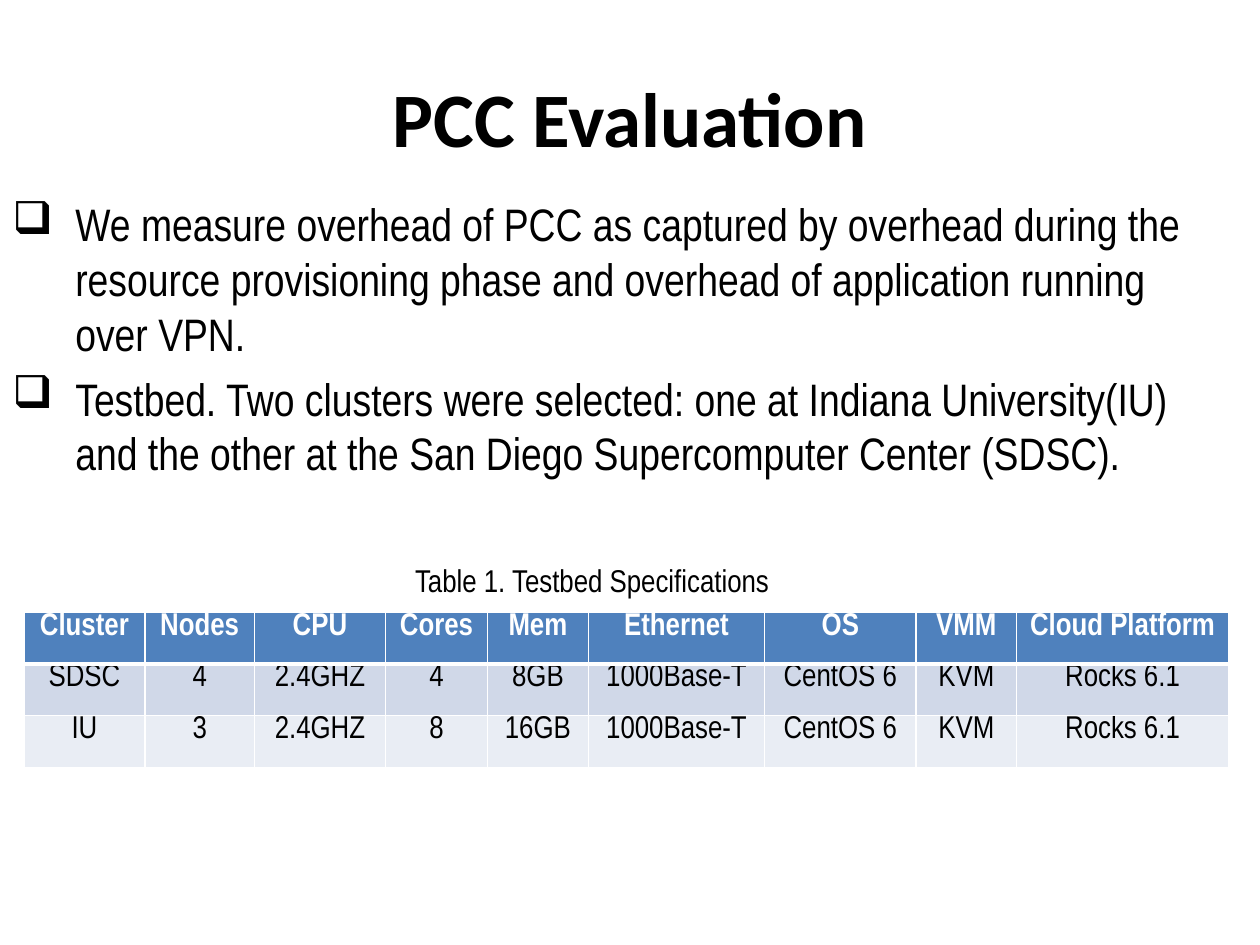
from lxml import etree
from pptx import Presentation
from pptx import util as u
from pptx.dml.color import RGBColor
from pptx.enum import text
from pptx.oxml import ns


def write(paragraph, content, size=18, font="Arial Narrow", color="000000",
          bold=False, align=None, bullet=None, after=0):
    properties = paragraph._p.get_or_add_pPr()
    if bullet:
        properties.set("marL", str(u.Inches(0.5)))
        properties.set("indent", str(-u.Inches(0.5)))
        etree.SubElement(properties, ns.qn("a:buChar")).set("char", bullet)
    paragraph.space_after = u.Pt(after)
    paragraph.alignment = align
    run = paragraph.add_run()
    run.text = content
    run.font.size = u.Pt(size)
    run.font.name = font
    run.font.bold = bold
    run.font.color.rgb = RGBColor.from_string(color)


def add_border(cell, side, width, color="FFFFFF"):
    line = etree.SubElement(cell._tc.get_or_add_tcPr(), ns.qn(f"a:ln{side}"))
    line.set("w", str(u.Pt(width)))
    fill = etree.SubElement(line, ns.qn("a:solidFill"))
    etree.SubElement(fill, ns.qn("a:srgbClr")).set("val", color)


CENTER = text.PP_ALIGN.CENTER

presentation = Presentation()
presentation.slide_width = u.Inches(10)
presentation.slide_height = u.Inches(7.5)
slide = presentation.slides.add_slide(presentation.slide_layouts[5])

# Title
title = slide.shapes.title
title.left, title.top = u.Inches(0.5), u.Inches(0.3)
title.width, title.height = u.Inches(9), u.Inches(1.25)
title.text_frame.vertical_anchor = text.MSO_ANCHOR.MIDDLE
write(title.text_frame.paragraphs[0], "PCC Evaluation", size=44, font="Calibri",
      bold=True, align=CENTER)

# Bulleted text
body = slide.shapes.add_textbox(u.Inches(0), u.Inches(1.51), u.Inches(9.84), u.Inches(2.37))
frame = body.text_frame
frame.word_wrap = True
write(frame.paragraphs[0],
      "We measure overhead of PCC as captured by overhead during the resource "
      "provisioning phase and overhead of application running over VPN.",
      size=26, bullet="❑", after=6)
write(frame.add_paragraph(),
      "Testbed. Two clusters were selected: one at Indiana University(IU) and "
      "the other at the San Diego Supercomputer Center (SDSC).",
      size=26, bullet="❑")

# Testbed table
rows = [
    ["Cluster", "Nodes", "CPU", "Cores", "Mem", "Ethernet", "OS", "VMM", "Cloud Platform"],
    ["SDSC", "4", "2.4GHZ", "4", "8GB", "1000Base-T", "CentOS 6", "KVM", "Rocks 6.1"],
    ["IU", "3", "2.4GHZ", "8", "16GB", "1000Base-T", "CentOS 6", "KVM", "Rocks 6.1"],
]
widths = [0.96, 0.87, 1.04, 0.81, 0.8, 1.4, 1.2, 0.8, 1.68]
fills = ["4F81BD", "D0D8E8", "E9EDF4"]
table = slide.shapes.add_table(len(rows), len(widths), u.Inches(0.19), u.Inches(4.86),
                               u.Inches(sum(widths)), u.Inches(1.22)).table
for column, width in zip(table.columns, widths):
    column.width = u.Inches(width)
for r, values in enumerate(rows):
    table.rows[r].height = u.Inches(0.41)
    for c, value in enumerate(values):
        cell = table.cell(r, c)
        cell.margin_left = cell.margin_right = u.Inches(0.07)
        cell.margin_top = cell.margin_bottom = 0
        # The rule under the header is thicker than the others
        borders = {"L": 1, "R": 1, "T": 3 if r == 1 else 1, "B": 3 if r == 0 else 1}
        for side, width in borders.items():
            add_border(cell, side, width)
        cell.fill.solid()
        cell.fill.fore_color.rgb = RGBColor.from_string(fills[r])
        write(cell.text_frame.paragraphs[0], value, align=CENTER, bold=r == 0,
              color="FFFFFF" if r == 0 else "000000")

# Table caption
caption = slide.shapes.add_textbox(u.Inches(2.02), u.Inches(4.4), u.Inches(5.36), u.Inches(0.4))
caption.text_frame.word_wrap = True
write(caption.text_frame.paragraphs[0], "Table 1. Testbed Specifications", align=CENTER)

presentation.save("out.pptx")
